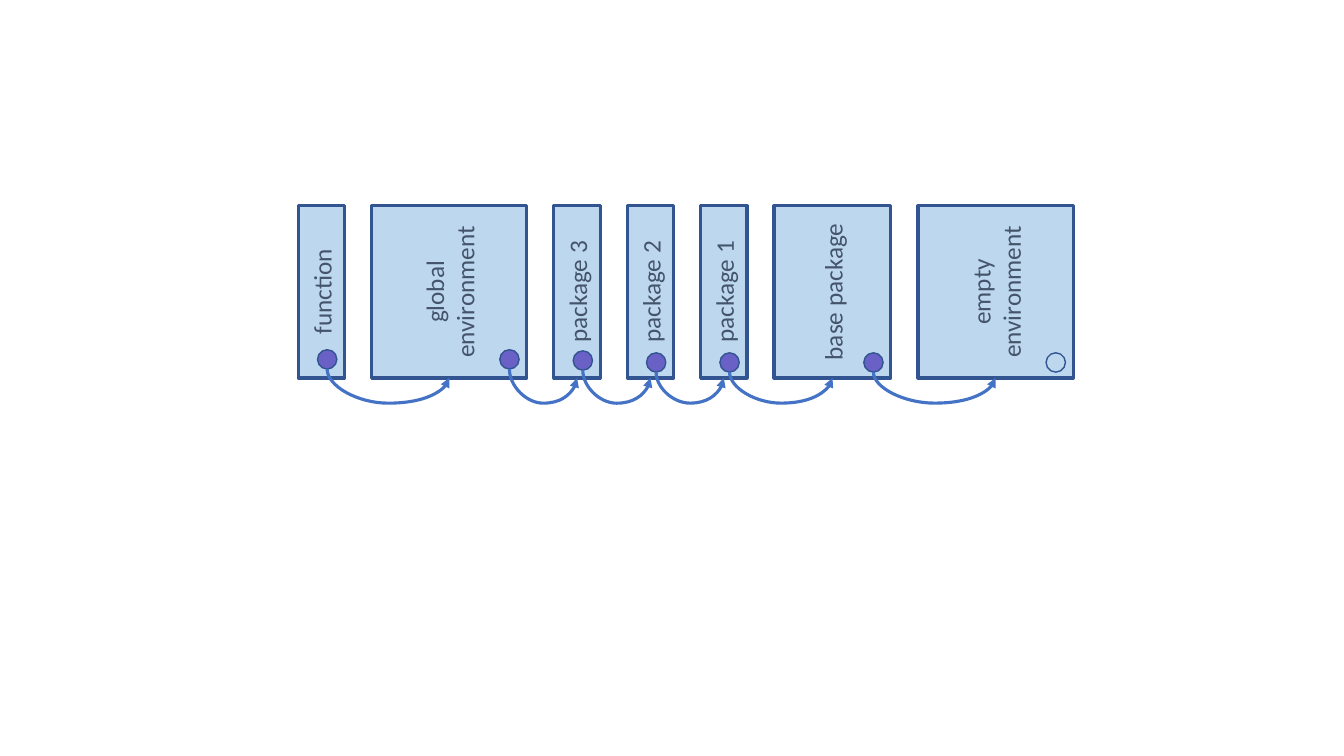
from dataclasses import dataclass

from lxml.etree import SubElement
from pptx import Presentation
from pptx.dml.color import RGBColor
from pptx.enum.shapes import MSO_CONNECTOR, MSO_SHAPE
from pptx.enum.text import MSO_ANCHOR, PP_ALIGN
from pptx.oxml.ns import qn
from pptx.shapes.autoshape import Shape
from pptx.slide import Slide
from pptx.util import Pt

COLORS = {
    "environment": "BDD7EE",
    "outline": "325491",
    "label": "44546A",
    "parent": "6961C5",
    "arrow": "4472C4",
}

# Lengths in points
CHAIN_LEFT, CHAIN_TOP, CHAIN_HEIGHT = 213.1, 147, 123
CHAIN_BOTTOM = CHAIN_TOP + CHAIN_HEIGHT
GAP = 19.3
NARROW, MEDIUM, WIDE = 33.1, 83.5, 110.9
DOT_SIZE, DOT_INSET = 13.8, 5.6
ARROW_LOWEST = 288


@dataclass
class Environment:
    label: str
    width: float
    dot_top: float
    has_parent: bool = True
    left: float = 0

    @property
    def center(self) -> float:
        return self.left + self.width / 2

    @property
    def dot_left(self) -> float:
        return self.left + self.width - DOT_INSET - DOT_SIZE


SEARCH_PATH = [
    Environment("function", NARROW, 249.8),
    Environment("global environment", WIDE, 249.8),
    Environment("package 3", NARROW, 250.6),
    Environment("package 2", NARROW, 252),
    Environment("package 1", NARROW, 252),
    Environment("base package", MEDIUM, 252),
    Environment("empty environment", WIDE, 252, has_parent=False),
]


def color(name: str) -> RGBColor:
    return RGBColor.from_string(COLORS[name])


def outline(shape: Shape, width: float) -> None:
    shape.shadow.inherit = False
    shape.line.color.rgb = color("outline")
    shape.line.width = Pt(width)


def draw_environment(slide: Slide, environment: Environment) -> None:
    box = slide.shapes.add_shape(
        MSO_SHAPE.RECTANGLE, Pt(environment.left), Pt(CHAIN_TOP),
        Pt(environment.width), Pt(CHAIN_HEIGHT))
    outline(box, 2.25)
    box.fill.solid()
    box.fill.fore_color.rgb = color("environment")

    # Label reading upwards
    frame = box.text_frame
    frame.text = environment.label
    frame.word_wrap = True
    frame.vertical_anchor = MSO_ANCHOR.MIDDLE
    box._element.txBody.find(qn("a:bodyPr")).set("vert", "vert270")
    label = frame.paragraphs[0]
    label.alignment = PP_ALIGN.CENTER
    font = label.runs[0].font
    font.name, font.size = "Calibri", Pt(18)
    font.color.rgb = color("label")


def draw_dot(slide: Slide, environment: Environment) -> None:
    dot = slide.shapes.add_shape(
        MSO_SHAPE.OVAL, Pt(environment.dot_left), Pt(environment.dot_top),
        Pt(DOT_SIZE), Pt(DOT_SIZE))
    outline(dot, 1)
    if environment.has_parent:
        dot.fill.solid()
        dot.fill.fore_color.rgb = color("parent")
    else:
        dot.fill.background()


def draw_arrow(slide: Slide, child: Environment, parent: Environment) -> None:
    start_x = child.dot_left + DOT_SIZE / 2
    start_y = child.dot_top + DOT_SIZE
    run, drop = parent.center - start_x, CHAIN_BOTTOM - start_y
    middle_x, middle_y = start_x + run / 2, start_y + drop / 2

    # The curve is laid out on its side, then turned by 270 degrees
    arrow = slide.shapes.add_connector(
        MSO_CONNECTOR.CURVE,
        Pt(middle_x + drop / 2), Pt(middle_y - run / 2),
        Pt(middle_x - drop / 2), Pt(middle_y + run / 2))
    arrow.line.color.rgb = color("arrow")
    arrow.line.width = Pt(2.25)
    properties = arrow._element.spPr
    properties.find(qn("a:xfrm")).set("rot", "16200000")

    # Depth of the bend, arrowhead and no shadow
    bend = round((ARROW_LOWEST - start_y) / drop * 100000)
    adjustments = properties.find(qn("a:prstGeom")).find(qn("a:avLst"))
    SubElement(adjustments, qn("a:gd"), name="adj1", fmla=f"val {bend}")
    SubElement(properties.find(qn("a:ln")), qn("a:tailEnd"), type="triangle")
    SubElement(properties, qn("a:effectLst"))


def main() -> None:
    presentation = Presentation()
    presentation.slide_width, presentation.slide_height = Pt(960), Pt(540)
    slide = presentation.slides.add_slide(presentation.slide_layouts[6])

    # Environments from left to right
    left = CHAIN_LEFT
    for environment in SEARCH_PATH:
        environment.left = left
        draw_environment(slide, environment)
        left += environment.width + GAP

    # Dots and the arrows to each parent
    for environment in SEARCH_PATH:
        draw_dot(slide, environment)
    for child, parent in zip(SEARCH_PATH, SEARCH_PATH[1:]):
        draw_arrow(slide, child, parent)

    presentation.save("out.pptx")


if __name__ == "__main__":
    main()
